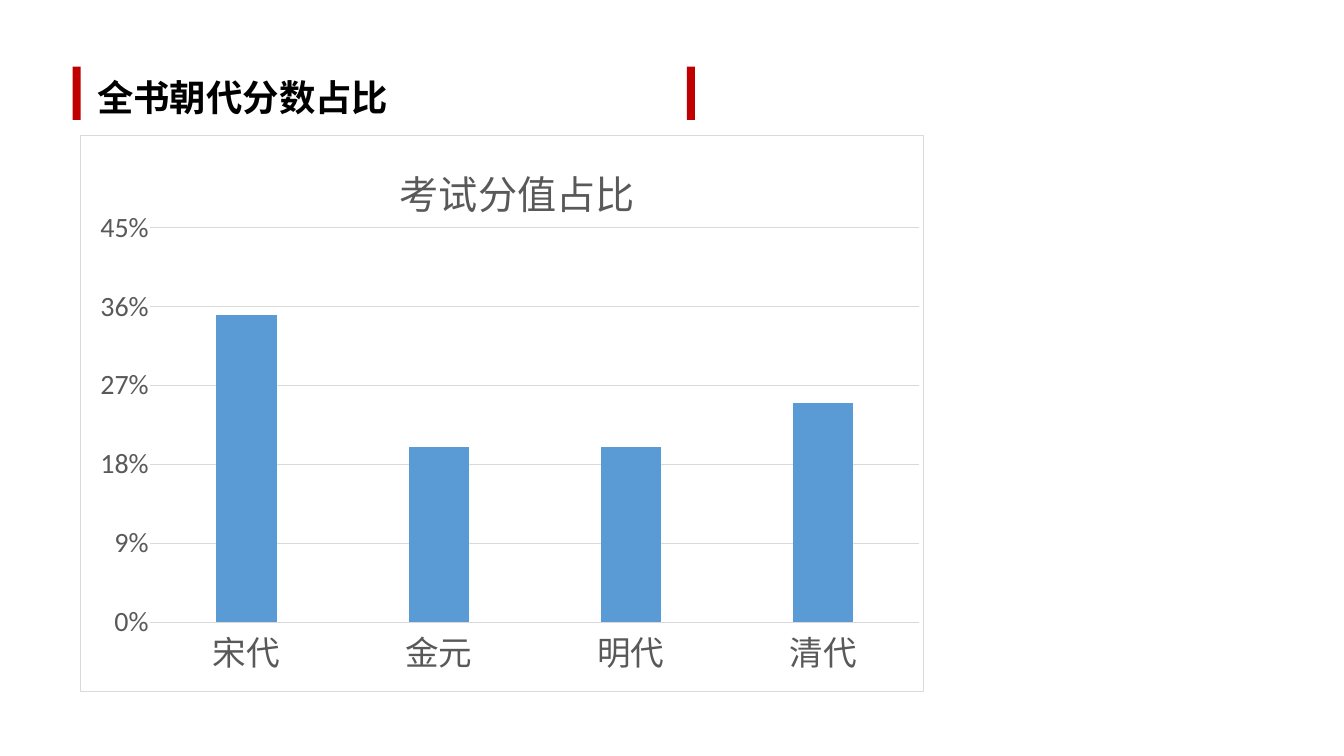
import pptx
import pptx.chart.data
import pptx.dml.color
import pptx.enum.chart
import pptx.enum.shapes
import pptx.enum.text
import pptx.oxml
import pptx.oxml.ns
import pptx.util
from pptx.util import Inches

HEADING = "全书朝代分数占比"
CHART_TITLE = "考试分值占比"
SHARES = {"宋代": 0.35, "金元": 0.2, "明代": 0.2, "清代": 0.25}
CJK = "Noto Sans CJK SC"
RED, BLUE, GREY, PALE = "C00000", "5B9BD5", "595959", "D9D9D9"
MARKER_LEFTS = (1.44, 13.63)
NAMESPACES = pptx.oxml.ns.nsdecls("c", "a")
qn = pptx.oxml.ns.qn


def color(hex_code):
    return pptx.dml.color.RGBColor.from_string(hex_code)


def format_font(font, size, hex_code, name=CJK, bold=False):
    font.size, font.bold, font.name = pptx.util.Pt(size), bold, name
    font.color.rgb = color(hex_code)


def write_text(frame, text, **style):
    """Write one run, naming its font for East Asian glyphs too."""
    para = frame.paragraphs[0]
    span = para.add_run()
    span.text = text
    format_font(span.font, **style)
    latin = span.font._element.find(qn("a:latin"))
    latin.addnext(pptx.oxml.parse_xml(
        f'<a:ea {NAMESPACES} typeface="{style.get("name", CJK)}"/>'))
    return para


def format_line(line, hex_code):
    line.color.rgb = color(hex_code)
    line.width = pptx.util.Pt(1)


def manual_layout(target="", **fractions):
    """Return a chart layout placed by fractions of the chart area."""
    modes = '<c:xMode val="edge"/><c:yMode val="edge"/>'
    parts = "".join(f'<c:{key} val="{value}"/>' for key, value in fractions.items())
    return pptx.oxml.parse_xml(
        f"<c:layout {NAMESPACES}><c:manualLayout>{target}{modes}{parts}"
        "</c:manualLayout></c:layout>")


def replace_layout(parent, index, layout):
    for old in parent.findall(qn("c:layout")):
        parent.remove(old)
    parent.insert(index, layout)


def add_heading(page):
    for left in MARKER_LEFTS:
        marker = page.shapes.add_shape(
            pptx.enum.shapes.MSO_SHAPE.RECTANGLE,
            Inches(left), Inches(1.32), Inches(0.16), Inches(1.06))
        marker.shadow.inherit = False
        marker.fill.solid()
        marker.fill.fore_color.rgb = color(RED)
        marker.line.fill.background()
    title = page.shapes.title
    title.left, title.top = Inches(1.83), Inches(1.23)
    title.width, title.height = Inches(11.4), Inches(1.24)
    frame = title.text_frame
    frame.word_wrap = True
    frame.auto_size = pptx.enum.text.MSO_AUTO_SIZE.NONE
    frame.vertical_anchor = pptx.enum.text.MSO_ANCHOR.BOTTOM
    frame.margin_left = frame.margin_right = Inches(0.1)
    frame.margin_top = frame.margin_bottom = Inches(0.1)
    para = write_text(frame, HEADING, size=52, hex_code="000000", bold=True)
    para.alignment = pptx.enum.text.PP_ALIGN.LEFT
    para.line_spacing = 0.9


def add_share_chart(page):
    chart_data = pptx.chart.data.CategoryChartData(number_format="0%")
    chart_data.categories = list(SHARES)
    chart_data.add_series(CHART_TITLE, list(SHARES.values()))
    chart = page.shapes.add_chart(
        pptx.enum.chart.XL_CHART_TYPE.COLUMN_CLUSTERED,
        Inches(1.59), Inches(2.68), Inches(16.74), Inches(11.05), chart_data).chart
    chart.has_legend = False
    format_font(chart.font, 10, "000000", "Roboto")

    chart.has_title = True
    write_text(chart.chart_title.text_frame, CHART_TITLE, size=56, hex_code=GREY)
    title = chart.chart_title._element
    replace_layout(title, 1, manual_layout(x=0.37, y=0.03))
    title.find(qn("c:overlay")).set("val", "1")

    plot = chart.plots[0]
    plot.gap_width, plot.overlap, plot.vary_by_categories = 219, -27, False
    bars = plot.series[0].format
    bars.fill.solid()
    bars.fill.fore_color.rgb = color(BLUE)

    no_tick = pptx.enum.chart.XL_TICK_MARK.NONE
    for axis, size, name in ((chart.category_axis, 48, CJK),
                             (chart.value_axis, 40, "Calibri")):
        axis.major_tick_mark = axis.minor_tick_mark = no_tick
        format_font(axis.tick_labels.font, size, GREY, name)
    chart.category_axis.tick_label_position = pptx.enum.chart.XL_TICK_LABEL_POSITION.LOW
    format_line(chart.category_axis.format.line, PALE)
    values = chart.value_axis
    values.minimum_scale, values.maximum_scale, values.major_unit = 0, 0.45, 0.09
    values.tick_labels.number_format = "0%"
    values.tick_labels.number_format_is_linked = False
    values.format.line.fill.background()
    values.has_major_gridlines = True
    format_line(values.major_gridlines.format.line, PALE)

    chart_node = chart._chartSpace.find(qn("c:chart"))
    replace_layout(chart_node.find(qn("c:plotArea")), 0, manual_layout(
        '<c:layoutTarget val="inner"/>', x=0.083, y=0.166, w=0.912, h=0.709))
    chart_node.addnext(pptx.oxml.parse_xml(
        f'<c:spPr {NAMESPACES}><a:solidFill><a:srgbClr val="FFFFFF"/></a:solidFill>'
        f'<a:ln w="12700"><a:solidFill><a:srgbClr val="{PALE}"/></a:solidFill></a:ln>'
        "</c:spPr>"))


def main():
    deck = pptx.Presentation()
    deck.slide_width, deck.slide_height = Inches(26.67), Inches(15)
    page = deck.slides.add_slide(deck.slide_layouts[5])
    page.background.fill.solid()
    page.background.fill.fore_color.rgb = color("FFFFFF")
    add_heading(page)
    add_share_chart(page)
    deck.save("out.pptx")


if __name__ == "__main__":
    main()
